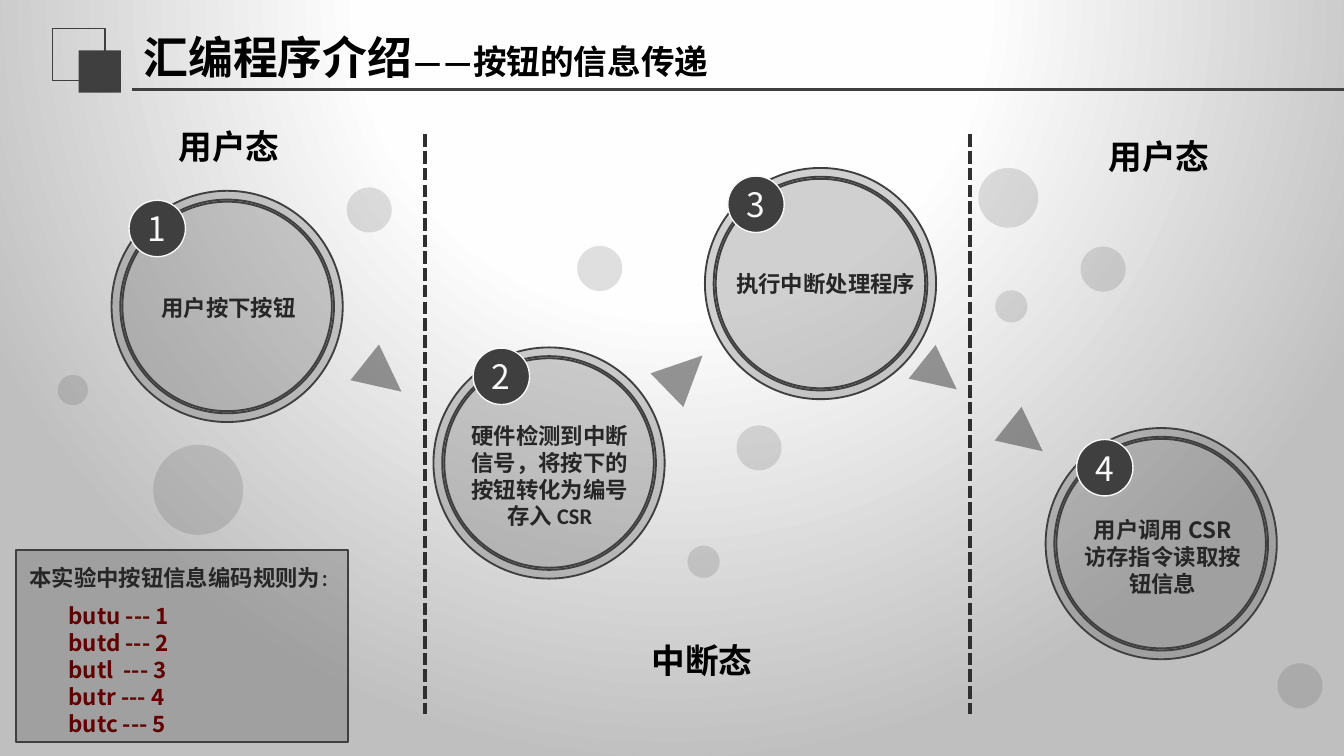
"""Build the slide on how a button press travels between user and interrupt state."""
from dataclasses import dataclass
from typing import NamedTuple, Optional

from lxml.etree import SubElement
from pptx import Presentation
from pptx.dml.color import RGBColor
from pptx.enum.dml import MSO_LINE
from pptx.enum.shapes import MSO_CONNECTOR, MSO_SHAPE
from pptx.enum.text import MSO_ANCHOR, PP_ALIGN
from pptx.oxml import parse_xml
from pptx.oxml.ns import nsdecls, qn
from pptx.shapes.autoshape import Shape
from pptx.slide import Slide
from pptx.text.text import TextFrame, _Paragraph
from pptx.util import Emu, Pt

EMU_PER_PX = 4572


@dataclass(frozen=True)
class Theme:
    dark: str = "3F3F3F"
    divider: str = "2F2F2F"
    heading: str = "000000"
    body: str = "262626"
    code: str = "600000"
    light: str = "F8F8F8"
    backdrop: tuple = ((0, "FFFFFF"), (40, "FEFEFE"), (100, "BFBFBF"))
    latin: str = "Calibri"
    chinese: str = "Noto Sans CJK SC"
    title_size: int = 24
    heading_size: int = 18
    body_size: int = 12
    colon_size: int = 9


THEME = Theme()


class Box(NamedTuple):
    x: int
    y: int
    width: int
    height: int


class Step(NamedTuple):
    x: int
    y: int
    badge_x: int
    badge_y: int
    caption: str
    caption_box: Box
    font: str


class Arrow(NamedTuple):
    box: Box
    rotation: float
    opacity: int


class Bubble(NamedTuple):
    x: int
    y: int
    size: int


class State(NamedTuple):
    name: str
    x: int
    y: int


STEPS = (
    Step(166, 284, 192, 298, "用户按下按钮", Box(208, 430, 264, 56), THEME.chinese),
    Step(645, 517, 704, 518, "硬件检测到中断信号，将按下的按钮转化为编号存入 CSR",
         Box(686, 620, 264, 176), THEME.latin),
    Step(1049, 250, 1083, 262, "执行中断处理程序", Box(1072, 394, 314, 56), THEME.latin),
    Step(1556, 637, 1602, 654, "用户调用 CSR 访存指令读取按钮信息",
         Box(1598, 760, 264, 136), THEME.chinese),
)
ARROWS = (
    Arrow(Box(536, 526, 68, 70), 128.6, 53),
    Arrow(Box(1494, 618, 64, 66), 128.6, 52),
    Arrow(Box(984, 518, 70, 74), 45.8, 54),
    Arrow(Box(1366, 526, 64, 66), 128.6, 52),
)
BUBBLES = (
    Bubble(228, 662, 134), Bubble(859, 366, 67), Bubble(516, 279, 67), Bubble(86, 558, 45),
    Bubble(1608, 367, 67), Bubble(1481, 432, 48), Bubble(1456, 250, 89),
    Bubble(1096, 633, 67), Bubble(1023, 812, 48), Bubble(1901, 987, 67),
)
STATES = (State("中断态", 950, 942), State("用户态", 1630, 192), State("用户态", 246, 178))
BUTTON_CODES = ("butu --- 1", "butd --- 2", "butl  --- 3", "butr --- 4", "butc --- 5")


def px(length: int) -> Emu:
    return Emu(length * EMU_PER_PX)


def add_figure(slide: Slide, kind: MSO_SHAPE, box: Box, *, fill: Optional[str] = THEME.dark,
               opacity: int = 100, line: Optional[str] = None, weight: float = 1) -> Shape:
    figure = slide.shapes.add_shape(kind, *map(px, box))
    figure.shadow.inherit = False
    if fill:
        figure.fill.solid()
        figure.fill.fore_color.rgb = RGBColor.from_string(fill)
        if opacity < 100:
            tint = figure.fill._xPr.find(qn("a:solidFill"))[0]
            SubElement(tint, qn("a:alpha"), val=str(opacity * 1000))
    else:
        figure.fill.background()
    if line:
        figure.line.color.rgb = RGBColor.from_string(line)
        figure.line.width = Pt(weight)
    else:
        figure.line.fill.background()
    return figure


def add_rule(slide: Slide, start: tuple[int, int], end: tuple[int, int], *, color: str,
             weight: float, dashed: bool = False) -> None:
    rule = slide.shapes.add_connector(MSO_CONNECTOR.STRAIGHT, *map(px, start + end))
    rule.line.color.rgb = RGBColor.from_string(color)
    rule.line.width = Pt(weight)
    if dashed:
        rule.line.dash_style = MSO_LINE.SQUARE_DOT
    SubElement(rule._element.spPr, qn("a:effectLst"))


def add_frame(slide: Slide, box: Box, *, wrap: bool = True, tight: bool = False) -> TextFrame:
    frame = slide.shapes.add_textbox(*map(px, box)).text_frame
    frame.word_wrap = wrap
    if tight:
        frame.margin_left = frame.margin_right = px(14)
        frame.margin_top = frame.margin_bottom = px(8)
    return frame


def write(paragraph: _Paragraph, text: str, *, size: int, color: str,
          font: str = THEME.latin, bold: bool = True) -> None:
    run = paragraph.add_run()
    run.text = text
    run.font.name = font
    run.font.size = Pt(size)
    run.font.bold = bold
    run.font.color.rgb = RGBColor.from_string(color)
    SubElement(run._r.get_or_add_rPr(), qn("a:ea"), typeface=font)


def paint_backdrop(slide: Slide) -> None:
    stops = "".join(f'<a:gs pos="{at * 1000}"><a:srgbClr val="{color}"/></a:gs>'
                    for at, color in THEME.backdrop)
    slide._element.cSld.insert(0, parse_xml(
        f'<p:bg {nsdecls("p", "a")}><p:bgPr><a:gradFill rotWithShape="1">'
        f'<a:gsLst>{stops}</a:gsLst><a:path path="circle">'
        '<a:fillToRect l="50000" t="-80000" r="50000" b="180000"/></a:path>'
        '</a:gradFill><a:effectLst/></p:bgPr></p:bg>'))


def draw_header(slide: Slide) -> None:
    add_figure(slide, MSO_SHAPE.RECTANGLE, Box(78, 42, 78, 78), fill=None,
               line=THEME.dark, weight=0.75)
    add_figure(slide, MSO_SHAPE.RECTANGLE, Box(117, 75, 63, 63))
    add_rule(slide, (196, 133), (2000, 133), color=THEME.dark, weight=1.25)
    title = add_frame(slide, Box(194, 42, 1200, 86))
    title.vertical_anchor = MSO_ANCHOR.MIDDLE
    write(title.paragraphs[0], "汇编程序介绍", size=THEME.title_size, color=THEME.heading)
    write(title.paragraphs[0], "——按钮的信息传递", size=THEME.heading_size, color=THEME.heading)


def draw_code_panel(slide: Slide) -> None:
    add_figure(slide, MSO_SHAPE.RECTANGLE, Box(24, 818, 494, 286), opacity=24, line=THEME.dark)
    panel = add_frame(slide, Box(24, 830, 490, 320))
    intro = panel.paragraphs[0]
    intro.space_after = Pt(6)
    write(intro, "本实验中按钮信息编码规则为", size=THEME.body_size, color=THEME.body,
          font=THEME.chinese)
    write(intro, "：", size=THEME.colon_size, color=THEME.body, font=THEME.chinese)
    for code in BUTTON_CODES:
        entry = panel.add_paragraph()
        entry._p.get_or_add_pPr().set("marL", str(px(58)))
        write(entry, code, size=THEME.body_size, color=THEME.code, font=THEME.chinese)


def draw_step(slide: Slide, step: Step) -> None:
    add_figure(slide, MSO_SHAPE.OVAL, Box(step.x, step.y, 344, 344), opacity=24, line=THEME.dark)
    ring = add_figure(slide, MSO_SHAPE.DONUT, Box(step.x + 13, step.y + 13, 318, 318),
                      opacity=24, line=THEME.dark)
    ring.adjustments[0] = 0.01
    caption = add_frame(slide, step.caption_box, tight=True).paragraphs[0]
    caption.alignment = PP_ALIGN.CENTER
    write(caption, step.caption, size=THEME.body_size, color=THEME.body, font=step.font)


def draw_badge(slide: Slide, number: int, step: Step) -> None:
    add_figure(slide, MSO_SHAPE.OVAL, Box(step.badge_x, step.badge_y, 84, 84),
               line=THEME.light, weight=0.75)
    digit = add_frame(slide, Box(step.badge_x + 14, step.badge_y + 4, 60, 76),
                      wrap=False, tight=True)
    write(digit.paragraphs[0], str(number), size=THEME.heading_size, color=THEME.light,
          font=THEME.chinese, bold=False)


def main() -> None:
    deck = Presentation()
    deck.slide_width, deck.slide_height = px(2000), px(1125)
    slide = deck.slides.add_slide(deck.slide_layouts[6])
    paint_backdrop(slide)
    draw_header(slide)
    draw_code_panel(slide)
    for x in (632, 1444):
        add_rule(slide, (x, 200), (x, 1062), color=THEME.divider, weight=2.25, dashed=True)
    for arrow in ARROWS:
        pointer = add_figure(slide, MSO_SHAPE.ISOSCELES_TRIANGLE, arrow.box, opacity=arrow.opacity)
        pointer.rotation = arrow.rotation
    for step in STEPS:
        draw_step(slide, step)
    for number, step in enumerate(STEPS, start=1):
        draw_badge(slide, number, step)
    for x, y, size in BUBBLES:
        add_figure(slide, MSO_SHAPE.OVAL, Box(x, y, size, size), opacity=16)
    for state in STATES:
        label = add_frame(slide, Box(state.x, state.y, 192, 80), wrap=False)
        write(label.paragraphs[0], state.name, size=THEME.heading_size, color=THEME.heading)
    deck.save("out.pptx")


if __name__ == "__main__":
    main()
